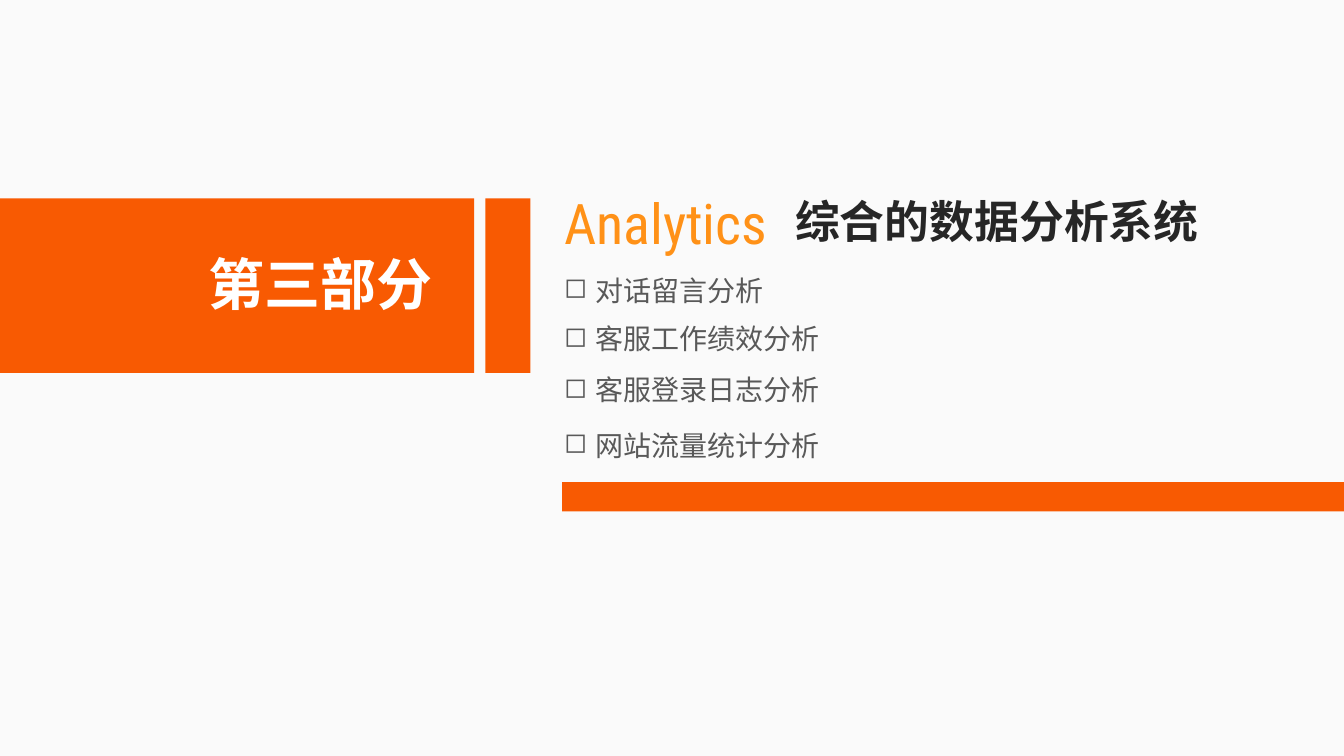
from dataclasses import dataclass

from lxml.etree import SubElement
from pptx import Presentation
from pptx.dml.color import RGBColor
from pptx.enum.shapes import MSO_SHAPE
from pptx.enum.text import MSO_AUTO_SIZE
from pptx.oxml.ns import qn
from pptx.util import Cm, Pt


@dataclass(frozen=True)
class Theme:
    background: str = "FAFAFA"
    accent: str = "F85A02"
    keyword: str = "FF9117"
    heading: str = "262626"
    body: str = "595959"
    inverse: str = "FFFFFF"
    display_size: int = 40
    heading_size: int = 32
    body_size: int = 20
    chinese_font: str = "Noto Sans CJK SC"
    latin_font: str = "Roboto Condensed"


class SectionSlide:
    def __init__(self, slide, theme):
        self.slide = slide
        self.theme = theme
        fill = slide.background.fill
        fill.solid()
        fill.fore_color.rgb = RGBColor.from_string(theme.background)

    def block(self, left, top, width, height):
        block = self.slide.shapes.add_shape(
            MSO_SHAPE.RECTANGLE, Cm(left), Cm(top), Cm(width), Cm(height))
        block.shadow.inherit = False
        block.fill.solid()
        block.fill.fore_color.rgb = RGBColor.from_string(self.theme.accent)
        block.line.fill.background()

    def text(self, wording, left, top, width, height, size, color, bold=False, font=None):
        box = self.slide.shapes.add_textbox(Cm(left), Cm(top), Cm(width), Cm(height))
        frame = box.text_frame
        frame.word_wrap = False
        frame.auto_size = MSO_AUTO_SIZE.SHAPE_TO_FIT_TEXT
        frame.text = wording
        paragraph = frame.paragraphs[0]
        run = paragraph.runs[0]
        run.font.size = Pt(size)
        run.font.bold = bold
        run.font.color.rgb = RGBColor.from_string(color)
        run.font.name = font or self.theme.chinese_font
        SubElement(run.font._element, qn("a:ea"), typeface=run.font.name)
        return paragraph

    def bullet(self, wording, left, top, width):
        paragraph = self.text(wording, left, top, width, 1.11,
                              self.theme.body_size, self.theme.body)
        properties = paragraph._p.get_or_add_pPr()
        indent = Cm(0.79)
        properties.set("marL", str(indent))
        properties.set("indent", str(-indent))
        SubElement(properties, qn("a:buChar"), char="◻")


def main():
    presentation = Presentation()
    presentation.slide_width = Cm(33.87)
    presentation.slide_height = Cm(19.05)
    theme = Theme()
    section = SectionSlide(
        presentation.slides.add_slide(presentation.slide_layouts[6]), theme)

    band_top, band_height = 5, 4.4
    section.block(0, band_top, 11.95, band_height)
    section.block(12.23, band_top, 1.14, band_height)
    section.block(14.17, 12.15, 19.7, 0.74)

    section.text("第三部分", 5, 6.17, 6.22, 1.96,
                 theme.display_size, theme.inverse, bold=True)
    content_left = 13.97
    section.text("Analytics", content_left, 4.62, 5.97, 1.96,
                 theme.display_size, theme.keyword, font=theme.latin_font)
    section.text("综合的数据分析系统", 19.79, 4.75, 10.77, 1.63,
                 theme.heading_size, theme.heading, bold=True)

    topics = [
        ("对话留言分析", 6.76, 5.59),
        ("客服工作绩效分析", 7.98, 7.01),
        ("客服登录日志分析", 9.27, 7.01),
        ("网站流量统计分析", 10.67, 7.01),
    ]
    for topic, top, width in topics:
        section.bullet(topic, content_left, top, width)

    presentation.save("out.pptx")


if __name__ == "__main__":
    main()
